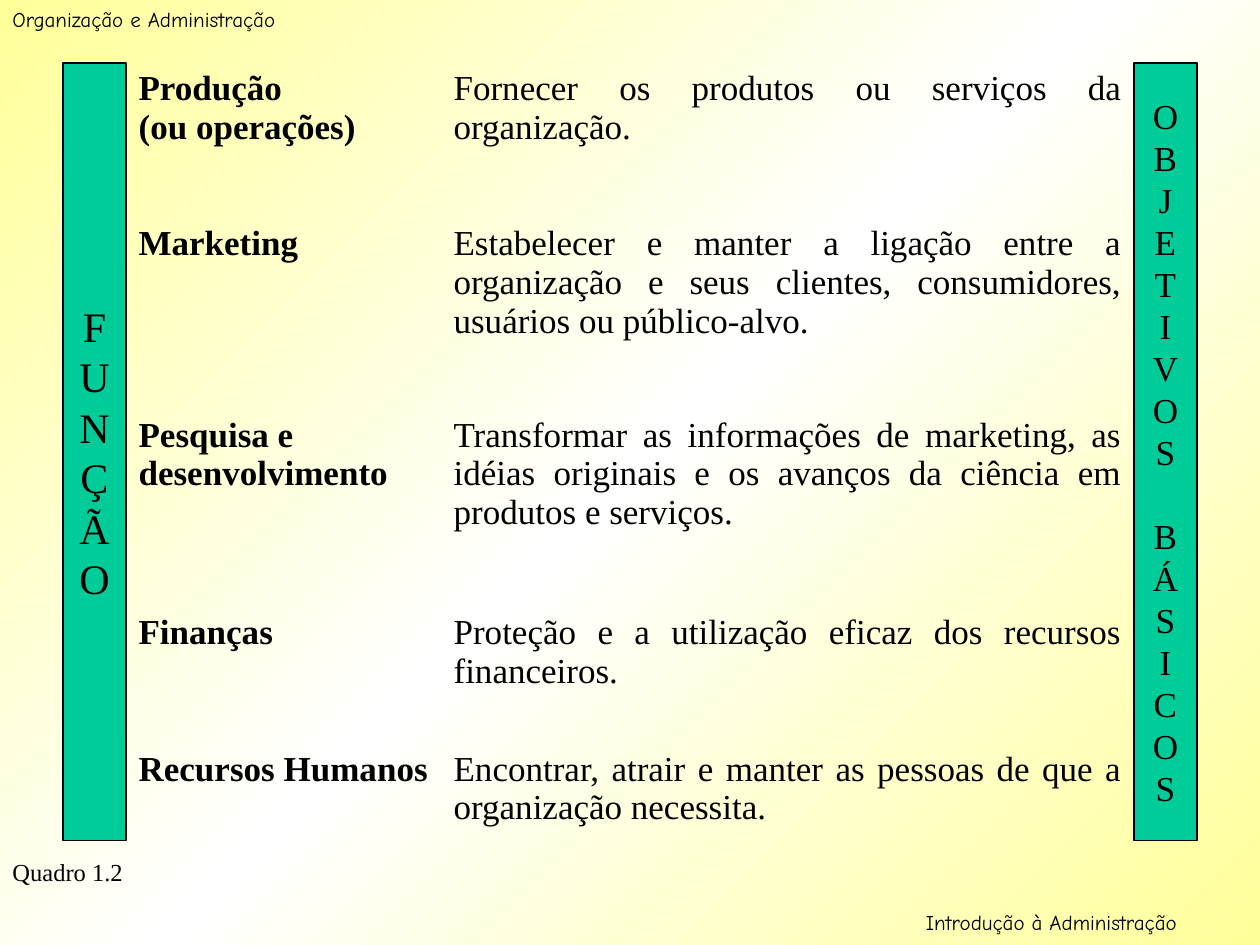
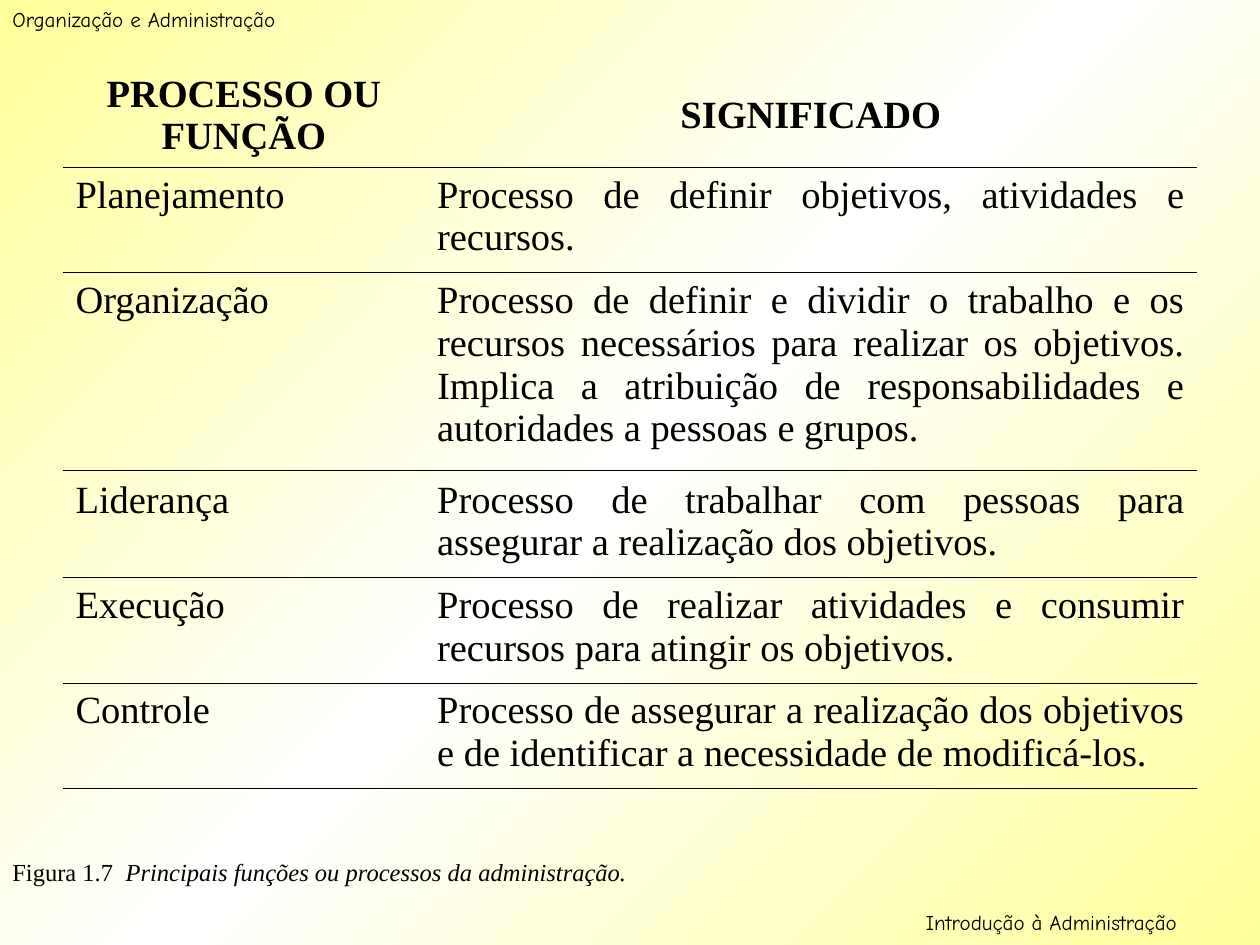
from copy import deepcopy

from lxml.etree import SubElement
from pptx import Presentation
from pptx.dml.color import RGBColor
from pptx.enum.shapes import MSO_SHAPE
from pptx.enum.text import MSO_ANCHOR, MSO_AUTO_SIZE, PP_ALIGN
from pptx.oxml.ns import qn
from pptx.util import Inches, Pt

COLORS = {"ink": "000000", "bar": "00CC99", "edge": "FFFF99", "middle": "FFFFFF"}
SERIF = "Times New Roman"
HAND = "Comic Neue"
NO_GRID = "{2D5ABB26-0587-4C30-8999-92F81FD0307C}"


def rgb(name):
    return RGBColor.from_string(COLORS[name])


class Deck:
    def __init__(self):
        self.prs = Presentation()
        self.prs.slide_width, self.prs.slide_height = Inches(10), Inches(7.5)
        self.s = None

    def background(self):
        master = self.prs.slide_master
        fill = master.background.fill
        fill.gradient()
        fill.gradient_angle = 135
        start, middle = fill.gradient_stops
        start.color.rgb, start.position = rgb("edge"), 0
        middle.color.rgb, middle.position = rgb("middle"), 0.5
        stops = master.element.find(".//" + qn("a:gsLst"))
        end = deepcopy(stops[0])
        end.set("pos", "100000")
        stops.append(end)

    def slide(self):
        self.s = self.prs.slides.add_slide(self.prs.slide_layouts[6])

    def run(self, p, text, size, font=SERIF, bold=False, italic=False):
        r = p.add_run()
        r.text = text
        r.font.size, r.font.name = Pt(size), font
        r.font.bold, r.font.italic = bold, italic
        r.font.color.rgb = rgb("ink")

    def text(self, left, top, width, height, size, text, font=SERIF, italic_text=""):
        box = self.s.shapes.add_textbox(
            Inches(left), Inches(top), Inches(width), Inches(height))
        tf = box.text_frame
        tf.word_wrap = True
        tf.auto_size = MSO_AUTO_SIZE.SHAPE_TO_FIT_TEXT
        p = tf.paragraphs[0]
        self.run(p, text, size, font)
        if italic_text:
            self.run(p, italic_text, size, font, italic=True)
        return box

    def running_text(self, shape_id, *args):
        sp = self.text(*args, font=HAND).element
        sp.nvSpPr.cNvPr.set("id", str(shape_id))
        self.prs.slide_master.element.cSld.spTree.append(sp)

    def bar(self, left, size, words):
        sp = self.s.shapes.add_shape(
            MSO_SHAPE.RECTANGLE, Inches(left), Inches(0.5), Inches(0.5), Inches(6.17))
        sp.shadow.inherit = False
        sp.fill.solid()
        sp.fill.fore_color.rgb = rgb("bar")
        sp.line.color.rgb, sp.line.width = rgb("ink"), Pt(0.75)
        tf = sp.text_frame
        tf.word_wrap = True
        tf.vertical_anchor = MSO_ANCHOR.MIDDLE
        line = Pt(size * 1.2)
        p = tf.paragraphs[0]
        for w, word in enumerate(words.split()):
            for i, letter in enumerate(word):
                if w or i:
                    p = tf.add_paragraph()
                p.alignment, p.line_spacing = PP_ALIGN.CENTER, line
                if w and i == 0:
                    p.space_before = line
                self.run(p, letter, size)

    def border(self, cell, side):
        tc_pr = cell._tc.get_or_add_tcPr()
        ln = SubElement(tc_pr, qn("a:" + side), w=str(Pt(0.45)))
        fill = SubElement(ln, qn("a:solidFill"))
        SubElement(fill, qn("a:srgbClr"), val=COLORS["ink"])
        tc_pr.insert(0, ln)

    def row(self, left, top, widths, height, size, texts,
            bold=(False, False), header=False, sides=()):
        frame = self.s.shapes.add_table(
            1, 2, Inches(left), Inches(top), Inches(sum(widths)), Inches(height))
        table = frame.table
        table.first_row = table.horz_banding = False
        frame.element.find(".//" + qn("a:tableStyleId")).text = NO_GRID
        table.rows[0].height = Inches(height)
        aligns = [PP_ALIGN.CENTER] * 2 if header else [PP_ALIGN.LEFT, PP_ALIGN.JUSTIFY]
        for i, text in enumerate(texts):
            table.columns[i].width = Inches(widths[i])
            cell = table.cell(0, i)
            cell.fill.background()
            cell.vertical_anchor = MSO_ANCHOR.MIDDLE if header else MSO_ANCHOR.TOP
            p = cell.text_frame.paragraphs[0]
            p.alignment = aligns[i]
            for n, part in enumerate(text.split("\n")):
                if n:
                    p.add_line_break()
                self.run(p, part, size, bold=bold[i])
            for side in sides:
                self.border(cell, side)


FUNCTIONS = [
    (0.5, 0.77, "Produção\n(ou operações)",
     "Fornecer os produtos ou serviços da organização."),
    (1.73, 1.1, "Marketing",
     "Estabelecer e manter a ligação entre a organização e seus clientes, "
     "consumidores, usuários ou público-alvo."),
    (3.25, 1.1, "Pesquisa e desenvolvimento",
     "Transformar as informações de marketing, as idéias originais e os avanços "
     "da ciência em produtos e serviços."),
    (4.82, 0.77, "Finanças",
     "Proteção e a utilização eficaz dos recursos financeiros."),
    (5.9, 0.77, "Recursos Humanos",
     "Encontrar, atrair e manter as pessoas de que a organização necessita."),
]

PROCESSES = [
    (1.33, 0.83, "Planejamento",
     "Processo de definir objetivos, atividades e recursos."),
    (2.17, 1.56, "Organização",
     "Processo de definir e dividir o trabalho e os recursos necessários para "
     "realizar os objetivos. Implica a atribuição de responsabilidades e "
     "autoridades a pessoas e grupos."),
    (3.75, 0.83, "Liderança",
     "Processo de trabalhar com pessoas para assegurar a realização dos objetivos."),
    (4.59, 0.83, "Execução",
     "Processo de realizar atividades e consumir recursos para atingir os objetivos."),
    (5.42, 0.83, "Controle",
     "Processo de assegurar a realização dos objetivos e de identificar a "
     "necessidade de modificá-los."),
]


def functions_slide(deck):
    deck.text(0, 6.75, 6.92, 0.34, 14, "Quadro 1.2")
    deck.bar(0.5, 24, "FUNÇÃO")
    deck.bar(9, 20, "OBJETIVOS BÁSICOS")
    for top, height, *texts in FUNCTIONS:
        deck.row(1, top, (2.5, 5.5), height, 20, texts, bold=(True, False))


def processes_slide(deck):
    widths = (2.87, 6.13)
    deck.text(0, 6.75, 10, 0.34, 14, "Figura 1.7 ",
              italic_text=" Principais funções ou processos da administração.")
    deck.row(0.5, 0.5, widths, 0.83, 22, ("PROCESSO OU FUNÇÃO", "SIGNIFICADO"),
             bold=(True, True), header=True)
    for i, (top, height, *texts) in enumerate(PROCESSES):
        sides = ("lnB",) if i else ("lnB", "lnT")
        deck.row(0.5, top, widths, height, 22, texts, sides=sides)


def main():
    deck = Deck()
    deck.background()
    deck.slide()
    deck.running_text(20, 0, 0, 4.33, 0.3, 12, "Organização e Administração")
    deck.running_text(21, 7.25, 7.17, 2.75, 0.3, 12, "Introdução à Administração")
    functions_slide(deck)
    deck.slide()
    processes_slide(deck)
    deck.prs.save("out.pptx")


if __name__ == "__main__":
    main()
